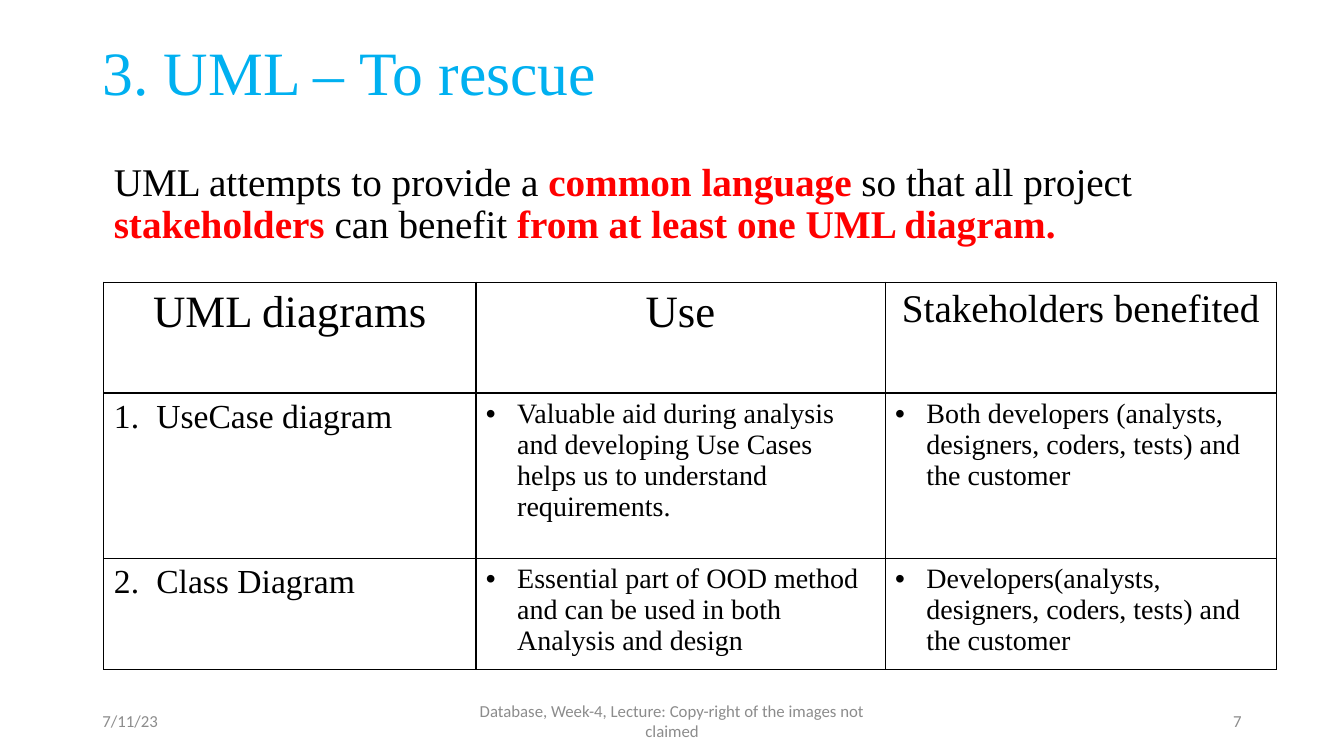
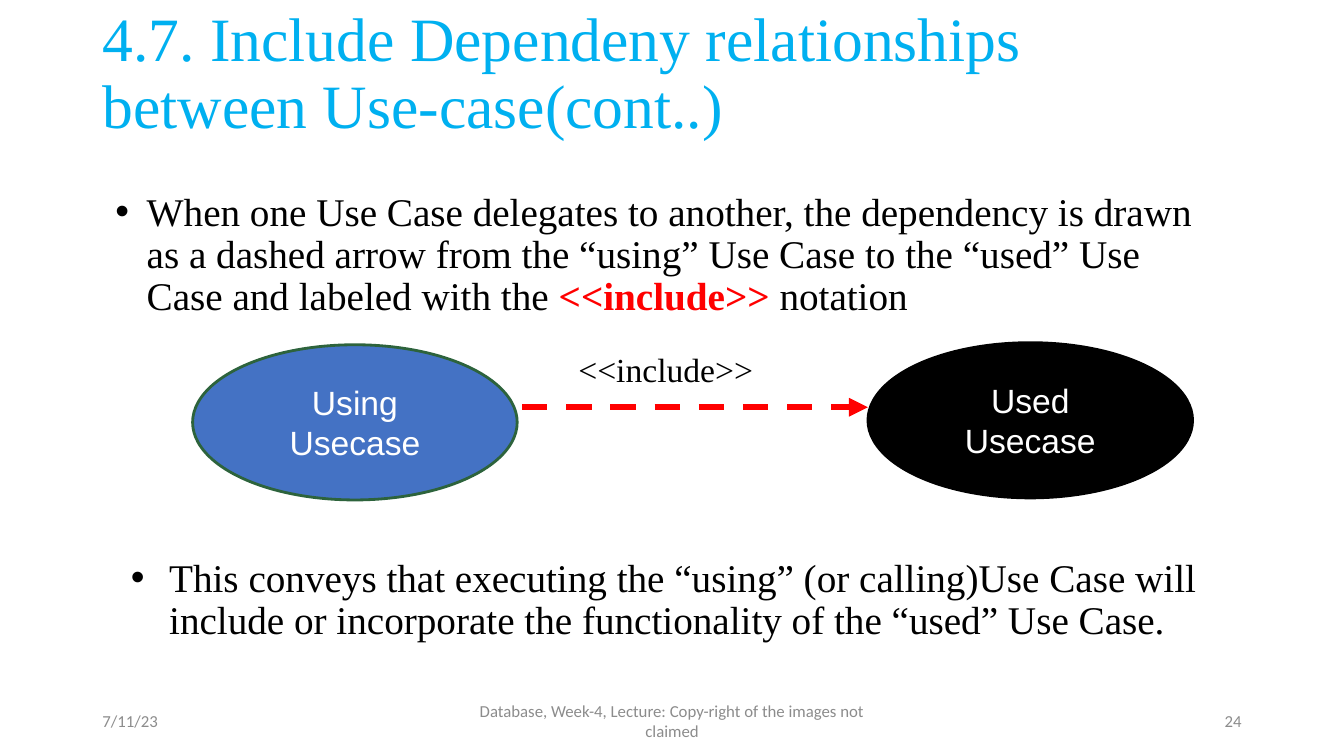
from dataclasses import dataclass
from typing import Any, Optional, Sequence

import pptx
import pptx.dml.color
import pptx.enum.dml
import pptx.enum.shapes
import pptx.enum.text
import pptx.oxml
import pptx.oxml.ns
import pptx.util
from lxml import etree

RGBColor = pptx.dml.color.RGBColor
ALIGN = pptx.enum.text.PP_ALIGN
ANCHOR = pptx.enum.text.MSO_ANCHOR
SHAPE = pptx.enum.shapes.MSO_SHAPE

SKY = RGBColor(0x00, 0xB0, 0xF0)
RED = RGBColor(0xFF, 0x00, 0x00)
BLACK = RGBColor(0x00, 0x00, 0x00)
WHITE = RGBColor(0xFF, 0xFF, 0xFF)
GREY = RGBColor(0x8C, 0x8C, 0x8C)
BLUE = RGBColor(0x44, 0x72, 0xC4)
GREEN = RGBColor(0x2D, 0x63, 0x3C)

SERIF, SANS, FOOTER_FONT = "Times New Roman", "Arial", "Calibri"
SLIDE_W = pptx.util.Inches(13.333)
SLIDE_H = pptx.util.Inches(7.5)
MARGIN = 6.88
TITLE_WIDTH = 86.25
BODY_WIDTH = 84.38


def across(percent: float) -> int:
    return round(SLIDE_W * percent / 100)


def down(percent: float) -> int:
    return round(SLIDE_H * percent / 100)


@dataclass(frozen=True)
class Box:
    left: float
    top: float
    width: float
    height: float

    def emu(self) -> tuple[int, int, int, int]:
        return across(self.left), down(self.top), across(self.width), down(self.height)


@dataclass(frozen=True)
class Run:
    text: str
    strong: bool = False


@dataclass(frozen=True)
class ListMark:
    hang: float
    margin: float
    number: Optional[int] = None


@dataclass(frozen=True)
class UseCase:
    name: str
    box: Box
    fill: RGBColor
    outline: RGBColor


@dataclass(frozen=True)
class Diagram:
    name: str
    use: str
    stakeholders: str


CELL_BULLET = ListMark(hang=0.31, margin=0.31)

FOOTER_TOP, FOOTER_HEIGHT = 92.67, 5.33
DATE_BOX = Box(MARGIN, FOOTER_TOP, 22.5, FOOTER_HEIGHT)
CREDIT_BOX = Box(33.13, FOOTER_TOP, 33.75, FOOTER_HEIGHT)
NUMBER_BOX = Box(70.63, FOOTER_TOP, 22.5, FOOTER_HEIGHT)

TABLE_COLUMNS = (27.68, 30.45, 29.1)
TABLE_ROWS = (14.67, 21.87, 13.33)
TABLE_BOX = Box(7.73, 37.33, sum(TABLE_COLUMNS), sum(TABLE_ROWS))
HEADINGS = (("UML diagrams", 32), ("Use", 32), ("Stakeholders benefited", 28))
DIAGRAMS = (
    Diagram(
        "UseCase diagram",
        "Valuable aid during analysis and developing Use Cases helps us to understand requirements.",
        "Both developers (analysts, designers, coders, tests) and the customer",
    ),
    Diagram(
        "Class Diagram",
        "Essential part of OOD method and can be used in both Analysis and design",
        "Developers(analysts, designers, coders, tests) and the customer",
    ),
)

USE_CASES = (
    UseCase("Using Usecase", Box(14.33, 45.6, 24.15, 20.53), BLUE, GREEN),
    UseCase("Used Usecase", Box(64.58, 45.33, 24.15, 20.53), BLACK, BLACK),
)


def add_child(parent: Any, tag: str, **attributes: str) -> Any:
    return etree.SubElement(parent, pptx.oxml.ns.qn(tag), attributes)


def mark_paragraph(paragraph: Any, mark: ListMark) -> None:
    properties = paragraph._p.get_or_add_pPr()
    properties.set("marL", str(pptx.util.Inches(mark.margin)))
    properties.set("indent", str(-pptx.util.Inches(mark.hang)))
    if mark.number is None:
        add_child(properties, "a:buFont", typeface=SANS)
        add_child(properties, "a:buChar", char="•")
    else:
        add_child(properties, "a:buFont", typeface=SERIF)
        add_child(properties, "a:buAutoNum", type="arabicPeriod", startAt=str(mark.number))


def write_text(
    frame: Any,
    *runs: Run,
    size: float,
    font: str = SERIF,
    color: RGBColor = BLACK,
    align: ALIGN = ALIGN.LEFT,
    spacing: float = 1.0,
    mark: Optional[ListMark] = None,
) -> None:
    frame.word_wrap = True
    paragraph = frame.paragraphs[0]
    paragraph.alignment = align
    paragraph.line_spacing = spacing
    if mark:
        mark_paragraph(paragraph, mark)
    for part in runs:
        run = paragraph.add_run()
        run.text = part.text
        run.font.size = pptx.util.Pt(size)
        run.font.name = font
        run.font.bold = part.strong
        run.font.color.rgb = RED if part.strong else color


def add_text(
    slide: Any, box: Box, *runs: Run, anchor: ANCHOR = ANCHOR.TOP, **text_format: Any
) -> None:
    frame = slide.shapes.add_textbox(*box.emu()).text_frame
    frame.vertical_anchor = anchor
    write_text(frame, *runs, **text_format)


def add_lecture_slide(deck: Any, title: str, number: str, title_width: float) -> Any:
    slide = deck.slides.add_slide(deck.slide_layouts[6])
    add_text(
        slide, Box(MARGIN, 0.27, title_width, 19.33), Run(title),
        anchor=ANCHOR.MIDDLE, size=44, color=SKY, spacing=0.9,
    )
    footers = (
        (DATE_BOX, "7/11/23", ALIGN.LEFT),
        (CREDIT_BOX, "Database, Week-4, Lecture: Copy-right of the images not claimed", ALIGN.CENTER),
        (NUMBER_BOX, number, ALIGN.RIGHT),
    )
    for box, text, align in footers:
        add_text(
            slide, box, Run(text),
            anchor=ANCHOR.MIDDLE, size=12, font=FOOTER_FONT, color=GREY, align=align,
        )
    return slide


def outline_cell(cell: Any) -> None:
    properties = cell._tc.get_or_add_tcPr()
    for side in ("a:lnL", "a:lnR", "a:lnT", "a:lnB"):
        border = add_child(properties, side, w=str(pptx.util.Pt(1)))
        add_child(add_child(border, "a:solidFill"), "a:srgbClr", val=str(BLACK))
    cell.fill.background()


def add_diagram_table(slide: Any, diagrams: Sequence[Diagram]) -> None:
    table = slide.shapes.add_table(
        len(TABLE_ROWS), len(TABLE_COLUMNS), *TABLE_BOX.emu()
    ).table
    table.first_row = table.horz_banding = False
    for column, width in zip(table.columns, TABLE_COLUMNS):
        column.width = across(width)
    for row, height in zip(table.rows, TABLE_ROWS):
        row.height = down(height)
    for cell in table.iter_cells():
        outline_cell(cell)
    for column, (heading, size) in enumerate(HEADINGS):
        write_text(
            table.cell(0, column).text_frame, Run(heading), size=size, align=ALIGN.CENTER
        )
    for row, diagram in enumerate(diagrams, start=1):
        name_mark = ListMark(hang=0.42, margin=0.42, number=row)
        write_text(table.cell(row, 0).text_frame, Run(diagram.name), size=24, mark=name_mark)
        for column, detail in enumerate((diagram.use, diagram.stakeholders), start=1):
            write_text(
                table.cell(row, column).text_frame, Run(detail), size=20, mark=CELL_BULLET
            )


def add_use_case(slide: Any, use_case: UseCase) -> None:
    ellipse = slide.shapes.add_shape(SHAPE.OVAL, *use_case.box.emu())
    ellipse.shadow.inherit = False
    ellipse.fill.solid()
    ellipse.fill.fore_color.rgb = use_case.fill
    ellipse.line.color.rgb = use_case.outline
    ellipse.line.width = pptx.util.Pt(2)
    ellipse.text_frame.vertical_anchor = ANCHOR.MIDDLE
    write_text(
        ellipse.text_frame, Run(use_case.name),
        size=24, font=SANS, color=WHITE, align=ALIGN.CENTER,
    )


def add_dependency(slide: Any, start: float, end: float, level: float) -> None:
    arrow = slide.shapes.add_connector(
        pptx.enum.shapes.MSO_CONNECTOR.STRAIGHT,
        across(start), down(level), across(end), down(level),
    )
    arrow.line.color.rgb = RED
    arrow.line.width = pptx.util.Pt(4.5)
    arrow.line.dash_style = pptx.enum.dml.MSO_LINE.DASH
    add_child(arrow.line._get_or_add_ln(), "a:tailEnd", type="triangle")
    add_child(arrow._element.spPr, "a:effectLst")


def build_rescue_slide(deck: Any) -> None:
    slide = add_lecture_slide(deck, "3. UML – To rescue", "7", TITLE_WIDTH)
    add_text(
        slide, Box(7.73, 20.8, 90.45, 15),
        Run("UML attempts to provide a "),
        Run("common language ", strong=True),
        Run("so that all project "),
        Run("stakeholders", strong=True),
        Run(" can benefit "),
        Run("from at least one UML diagram.", strong=True),
        size=28, spacing=0.9,
    )
    add_diagram_table(slide, DIAGRAMS)


def build_include_slide(deck: Any) -> None:
    slide = add_lecture_slide(
        deck, "4.7. Include Dependeny relationships between Use-case(cont..)", "24", BODY_WIDTH
    )
    add_text(
        slide, Box(MARGIN, 24.8, BODY_WIDTH, 18.27),
        Run(
            "When one Use Case delegates to another, the dependency is drawn as a dashed arrow "
            "from the “using” Use Case to the “used” Use Case and labeled with the "
        ),
        Run("<<include>> ", strong=True),
        Run("notation"),
        size=28, spacing=0.9, mark=ListMark(hang=0.31, margin=0.44),
    )
    for use_case in USE_CASES:
        add_use_case(slide, use_case)
    add_dependency(slide, 38.85, USE_CASES[1].box.left, 53.87)
    add_text(slide, Box(42.3, 46.13, 16.73, 6.13), Run("<<include>>"), size=24, spacing=0.9)
    add_text(
        slide, Box(9, 73.2, 82.2, 12.67),
        Run(
            "This conveys that executing the “using” (or calling)Use Case will include or "
            "incorporate the functionality of the “used” Use Case."
        ),
        size=28, spacing=0.9, mark=ListMark(hang=0.38, margin=0.38),
    )


def main() -> None:
    deck = pptx.Presentation()
    deck.slide_width, deck.slide_height = SLIDE_W, SLIDE_H
    build_rescue_slide(deck)
    build_include_slide(deck)
    deck.save("out.pptx")


if __name__ == "__main__":
    main()
